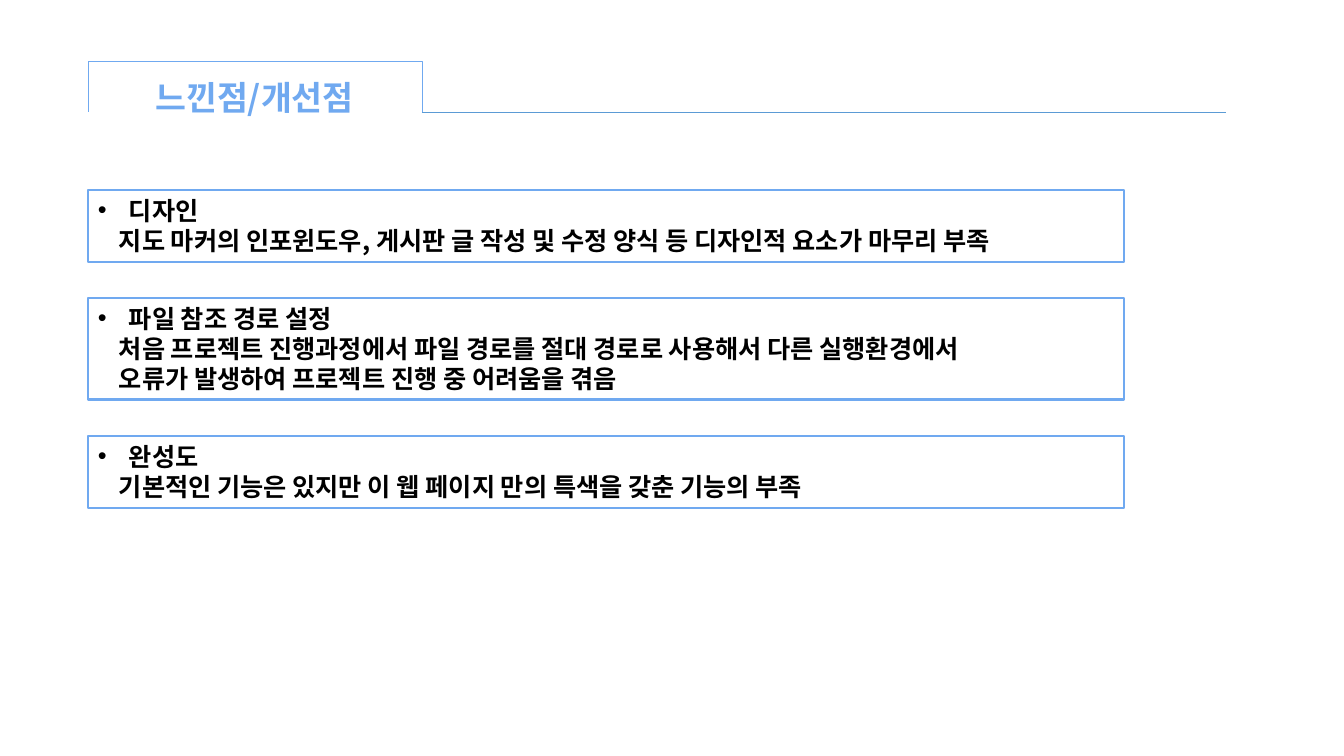
from lxml import etree
from pptx import Presentation
from pptx import util as u
from pptx.dml.color import RGBColor
from pptx.enum import shapes, text
from pptx.oxml.ns import qn

# Content
TITLE = "느낀점/개선점"
NOTES = [
    ("디자인",
     ["지도 마커의 인포윈도우, 게시판 글 작성 및 수정 양식 등 디자인적 요소가 마무리 부족"]),
    ("파일 참조 경로 설정",
     ["처음 프로젝트 진행과정에서 파일 경로를 절대 경로로 사용해서 다른 실행환경에서",
      "오류가 발생하여 프로젝트 진행 중 어려움을 겪음"]),
    ("완성도",
     ["기본적인 기능은 있지만 이 웹 페이지 만의 특색을 갖춘 기능의 부족"]),
]
COLORS = {"accent": "70A9F0", "rule": "5B9BD5", "text": "000000"}
FONT = "Noto Sans CJK KR"

# Layout in px
PX = 914400 / 100.8
LEFT, TOP, WIDTH, GAP = 88, 190, 1036, 36
LINE_H, PAD = 30, 12
TAB_W, TAB_H, RULE_Y, RULE_END = 334, 51, 112, 1226
BULLET_INDENT, BODY_INDENT = 31, 21


def px(n):
    return u.Emu(round(n * PX))


def rgb(name):
    return RGBColor.from_string(COLORS[name])


def outline(sp, color, width):
    sp.line.color.rgb = rgb(color)
    sp.line.width = u.Pt(width)


def style(p, size, color):
    for r in p.runs:
        f = r.font
        f.size, f.bold, f.name = u.Pt(size), True, FONT
        f.color.rgb = rgb(color)
        etree.SubElement(r._r.get_or_add_rPr(), qn("a:ea")).set("typeface", FONT)


def indent(p, left, bullet=False):
    pPr = p._p.get_or_add_pPr()
    pPr.set("marL", str(px(left)))
    pPr.set("indent", str(-px(left) if bullet else 0))
    if bullet:
        etree.SubElement(pPr, qn("a:buFont")).set("typeface", "Arial")
        etree.SubElement(pPr, qn("a:buChar")).set("char", "•")


prs = Presentation()
prs.slide_width, prs.slide_height = px(1344), px(756)
s = prs.slides.add_slide(prs.slide_layouts[5])

# Title tab: a bracket turned to open downwards
mid_x, mid_y = LEFT + TAB_W / 2, RULE_Y - TAB_H / 2
sp = s.shapes.add_shape(shapes.MSO_SHAPE.RIGHT_BRACKET, px(mid_x - TAB_H / 2),
                        px(mid_y - TAB_W / 2), px(TAB_H), px(TAB_W))
sp.rotation = 270
sp.adjustments[0] = 0
sp.shadow.inherit = False
sp.fill.background()
outline(sp, "accent", 0.5)

# Rule to the right of the tab
rule = s.shapes.add_connector(shapes.MSO_CONNECTOR.STRAIGHT, px(LEFT + TAB_W),
                              px(RULE_Y), px(RULE_END), px(RULE_Y))
outline(rule, "rule", 0.5)
etree.SubElement(rule._element.spPr, qn("a:effectLst"))

# Title
title = s.shapes.title
title.left, title.top, title.width, title.height = px(135), px(72), px(239), px(50)
tf = title.text_frame
tf.text = TITLE
tf.word_wrap = False
tf.auto_size = text.MSO_AUTO_SIZE.NONE
tf.vertical_anchor = text.MSO_ANCHOR.TOP
tf.paragraphs[0].alignment = text.PP_ALIGN.CENTER
style(tf.paragraphs[0], 24, "accent")

# Note boxes, stacked with equal gaps
top = TOP
for heading, lines in NOTES:
    height = LINE_H * (1 + len(lines)) + PAD
    sp = s.shapes.add_shape(shapes.MSO_SHAPE.RECTANGLE, px(LEFT), px(top),
                            px(WIDTH), px(height))
    sp.shadow.inherit = False
    sp.fill.background()
    outline(sp, "accent", 2)
    tf = sp.text_frame
    tf.word_wrap = True
    tf.vertical_anchor = text.MSO_ANCHOR.TOP
    tf.text = "\n".join([heading, *lines])
    for i, p in enumerate(tf.paragraphs):
        p.alignment = text.PP_ALIGN.LEFT
        indent(p, BODY_INDENT if i else BULLET_INDENT, bullet=i == 0)
        style(p, 18, "text")
    top += height + GAP

prs.save("out.pptx")
